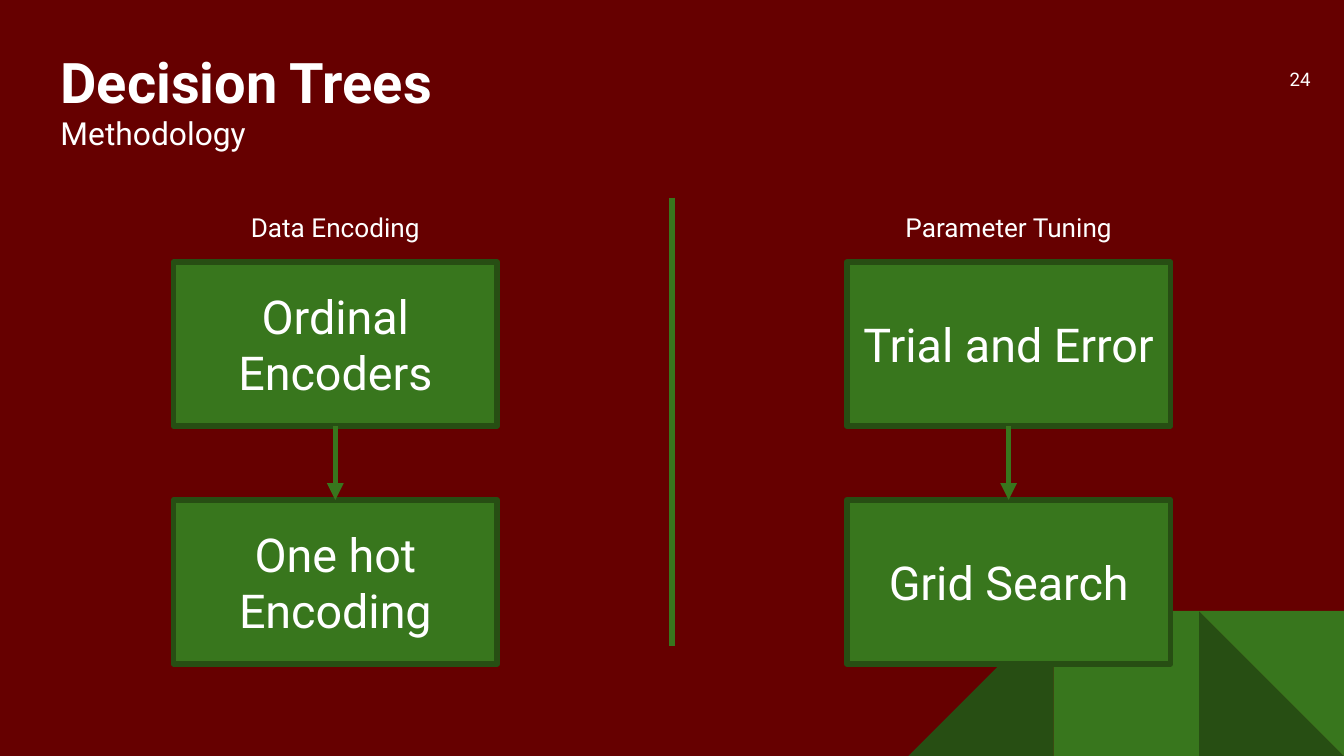
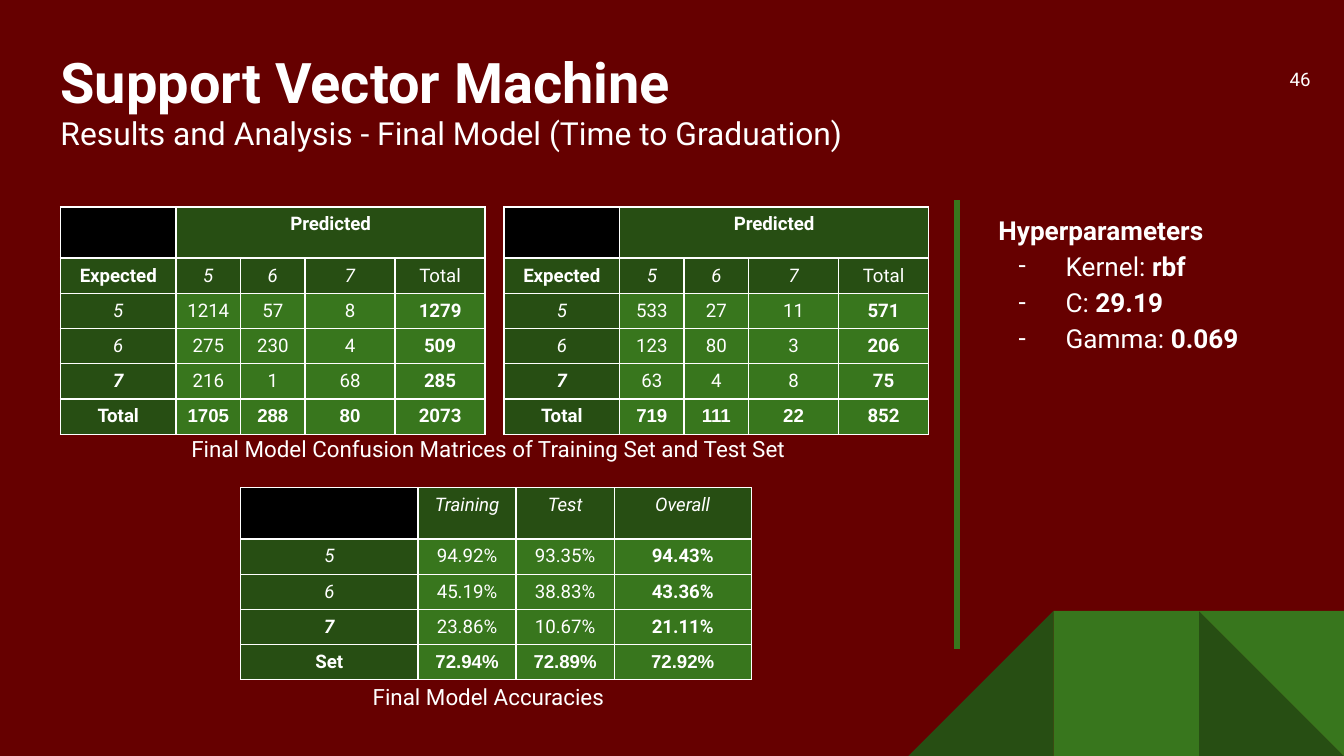
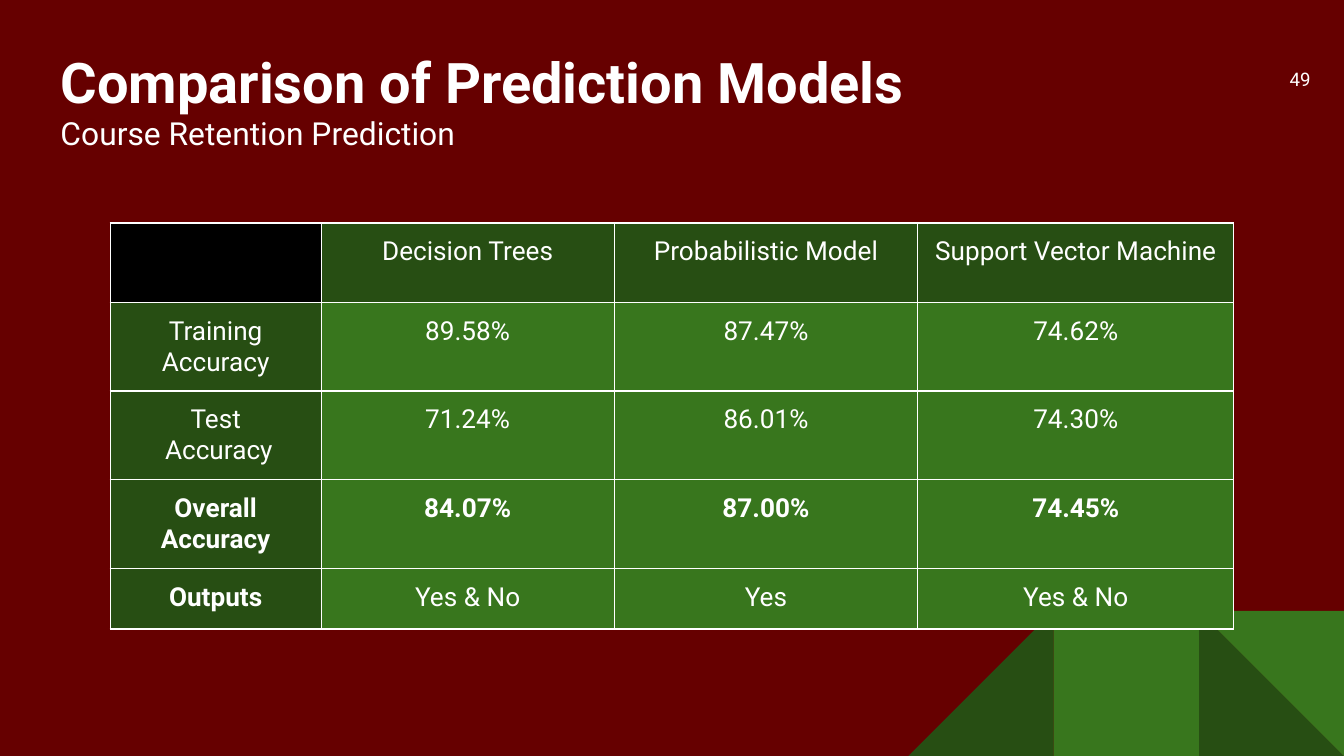
from dataclasses import dataclass
from typing import Any, Callable

from lxml import etree
from pptx import Presentation
from pptx.dml.color import RGBColor
from pptx.enum import shapes, text
from pptx.oxml import ns
from pptx.util import Inches, Pt

SLIDE_WIDTH = Inches(10)
SLIDE_HEIGHT = SLIDE_WIDTH * 9 // 16
BACKDROP, GREEN, DARK_GREEN = "660000", "38761D", "274E13"
WHITE, BLACK = "FFFFFF", "000000"
FONT, TOTALS_FONT = "Roboto", "Arial"
INSET = 0.1
TILE = 1.08
LEFT, CENTER, RIGHT = text.PP_ALIGN.LEFT, text.PP_ALIGN.CENTER, text.PP_ALIGN.RIGHT
TOP, MIDDLE = text.MSO_ANCHOR.TOP, text.MSO_ANCHOR.MIDDLE

Format = dict[str, Any]


@dataclass
class Tile:
    column: int
    preset: shapes.MSO_SHAPE
    color: str
    flipped: bool = False
    rotation: int = 0


@dataclass
class Flow:
    """A captioned pair of boxes joined by an arrow."""
    left: float
    caption: str
    caption_width: float
    steps: tuple[str, str]


@dataclass
class Grid:
    left: float
    top: float
    widths: list[float]
    heights: list[float]
    rows: list[list[str]]
    header_rows: int
    size: int
    insets: tuple[float, float]
    cell_format: Callable[["Grid", int, int], Format]
    corner_font: str = FONT


TILES = [
    Tile(2, shapes.MSO_SHAPE.RIGHT_TRIANGLE, DARK_GREEN),
    Tile(0, shapes.MSO_SHAPE.RIGHT_TRIANGLE, DARK_GREEN, flipped=True),
    Tile(1, shapes.MSO_SHAPE.RECTANGLE, GREEN),
    Tile(2, shapes.MSO_SHAPE.RIGHT_TRIANGLE, GREEN, rotation=180),
]

FLOWS = [
    Flow(1.29, "Data Encoding", 1.69, ("Ordinal Encoders", "One hot Encoding")),
    Flow(6.3, "Parameter Tuning", 2.41, ("Trial and Error", "Grid Search")),
]


def rgb(value: str) -> RGBColor:
    return RGBColor.from_string(value)


def style(font, size: float, **changes) -> None:
    """Apply the deck's font, with any changed values."""
    values = {"name": FONT, "size": Pt(size), "bold": False, "italic": False} | changes
    for name, value in values.items():
        setattr(font, name, value)
    font.color.rgb = rgb(WHITE)


def set_frame(frame, anchor=TOP) -> None:
    values = {"word_wrap": True, "auto_size": text.MSO_AUTO_SIZE.NONE, "vertical_anchor": anchor}
    values |= {f"margin_{side}": Inches(INSET) for side in ("left", "top", "right", "bottom")}
    for name, value in values.items():
        setattr(frame, name, value)


def fill_text(frame, words: str, size: float, align=CENTER, anchor=TOP) -> None:
    set_frame(frame, anchor)
    para = frame.paragraphs[0]
    para.alignment = align
    span = para.add_run()
    span.text = words
    style(span.font, size)


def add_label(page, left: float, top: float, width: float, height: float,
              words: str, size: float, align=CENTER, anchor=TOP) -> None:
    box = page.shapes.add_textbox(Inches(left), Inches(top), Inches(width), Inches(height))
    fill_text(box.text_frame, words, size, align, anchor)


def add_line(page, x1: float, y1: float, x2: float, y2: float, arrow: bool = False) -> None:
    line = page.shapes.add_connector(
        shapes.MSO_CONNECTOR.STRAIGHT, Inches(x1), Inches(y1), Inches(x2), Inches(y2))
    line.line.color.rgb = rgb(GREEN)
    line.line.width = Pt(3)
    if arrow:
        etree.SubElement(line.get_or_add_ln(), ns.qn("a:tailEnd"), type="triangle")
    etree.SubElement(line.element.spPr, ns.qn("a:effectLst"))


def move_tiles_to_layout(page) -> None:
    """Build the corner pattern and hand it to the layout that the slides share."""
    group = page.shapes.add_group_shape()
    side = Inches(TILE)
    for tile in TILES:
        shape = group.shapes.add_shape(
            tile.preset, SLIDE_WIDTH - (3 - tile.column) * side, SLIDE_HEIGHT - side, side, side)
        shape.shadow.inherit = False
        shape.fill.solid()
        shape.fill.fore_color.rgb = rgb(tile.color)
        shape.line.fill.background()
        shape.rotation = tile.rotation
        if tile.flipped:
            shape.element.spPr.xfrm.set("flipH", "1")
    page.slide_layout.shapes.element.append(group.element)


def add_page(deck, number: int, title: str, subtitle: str):
    page = deck.slides.add_slide(deck.slide_layouts[5])
    heading = page.shapes.title
    heading.left, heading.top = Inches(0.35), Inches(0.25)
    heading.width, heading.height = Inches(8.27), Inches(1.04)
    frame = heading.text_frame
    set_frame(frame)
    frame.text = f"{title}\n{subtitle}"
    for para, size, bold in zip(frame.paragraphs, (30, 17), (True, False)):
        para.alignment = LEFT
        style(para.runs[0].font, size, bold=bold)
    add_label(page, 9.25, 0.37, 0.6, 0.43, str(number), 10, RIGHT, MIDDLE)
    return page


def add_flow(page, flow: Flow) -> None:
    width, height, tops = 2.41, 1.22, (1.95, 3.72)
    middle = flow.left + width / 2
    add_label(page, middle - flow.caption_width / 2, 1.47, flow.caption_width, 0.5, flow.caption, 14)
    for top, step in zip(tops, flow.steps):
        box = page.shapes.add_shape(
            shapes.MSO_SHAPE.RECTANGLE, Inches(flow.left), Inches(top), Inches(width), Inches(height))
        box.shadow.inherit = False
        box.fill.solid()
        box.fill.fore_color.rgb = rgb(GREEN)
        box.line.color.rgb = rgb(DARK_GREEN)
        box.line.width = Pt(3)
        fill_text(box.text_frame, step, 25, anchor=MIDDLE)
    add_line(page, middle, tops[0] + height, middle, tops[1], arrow=True)


def matrix_format(grid: Grid, row: int, column: int) -> Format:
    words = grid.rows[row][column]
    last_row, last_column = row == len(grid.rows) - 1, column == len(grid.widths) - 1
    if column == 0:
        return {"bold": words not in ("5", "6"), "italic": words in ("5", "6", "7")}
    if row < grid.header_rows:
        return {"bold": words == "Predicted", "italic": words not in ("Predicted", "Total")}
    font = FONT
    if last_row:
        font = grid.corner_font if last_column else TOTALS_FONT
    return {"bold": last_row or last_column, "name": font}


def comparison_format(grid: Grid, row: int, column: int) -> Format:
    label = grid.rows[row][0]
    return {"bold": label.startswith("Overall") or (label == "Outputs" and column == 0)}


def add_borders(cell) -> None:
    properties = cell._tc.get_or_add_tcPr()
    for side in ("lnL", "lnR", "lnT", "lnB"):
        border = etree.SubElement(properties, ns.qn(f"a:{side}"), w=str(Pt(0.75)))
        paint = etree.SubElement(border, ns.qn("a:solidFill"))
        etree.SubElement(paint, ns.qn("a:srgbClr"), val=WHITE)


def add_grid(page, grid: Grid) -> None:
    table = page.shapes.add_table(
        len(grid.rows), len(grid.widths), Inches(grid.left), Inches(grid.top),
        Inches(sum(grid.widths)), Inches(sum(grid.heights))).table
    table.first_row = table.horz_banding = False
    for column, width in zip(table.columns, grid.widths):
        column.width = Inches(width)
    for row, height in zip(table.rows, grid.heights):
        row.height = Inches(height)
    side, edge = grid.insets
    for r, words in enumerate(grid.rows):
        for c in range(len(grid.widths)):
            cell = table.cell(r, c)
            cell.margin_left = cell.margin_right = Inches(side)
            cell.margin_top = cell.margin_bottom = Inches(edge)
            add_borders(cell)
            label = c == 0 or r < grid.header_rows
            cell.fill.solid()
            cell.fill.fore_color.rgb = rgb(BLACK if r == c == 0 else DARK_GREEN if label else GREEN)
            if c >= len(words) or not words[c]:
                empty = cell.text_frame.paragraphs[0]._p
                etree.SubElement(empty, ns.qn("a:endParaRPr"), sz=str(grid.size * 100))
                continue
            cell.text = words[c]
            for para in cell.text_frame.paragraphs:
                para.alignment = CENTER
                style(para.runs[0].font, grid.size, **grid.cell_format(grid, r, c))
        if len(words) < len(grid.widths):
            table.cell(r, len(words) - 1).merge(table.cell(r, len(grid.widths) - 1))


def confusion_matrix(left: float, counts: list[list[str]]) -> Grid:
    classes = ["5", "6", "7", "Total"]
    rows = [["", "Predicted"], ["Expected", *classes]]
    rows += [[name, *values] for name, values in zip(classes, counts)]
    return Grid(left, 1.54, [0.86, 0.48, 0.48, 0.67, 0.67], [0.38] + [0.26] * 5,
                rows, 2, 10, (0, 0.05), matrix_format)


def add_hyperparameters(page, settings: dict[str, str]) -> None:
    box = page.shapes.add_textbox(Inches(7.33), Inches(1.46), Inches(2.62), Inches(1.35))
    frame = box.text_frame
    set_frame(frame)
    lines = [[("Hyperparameters", True)]]
    lines += [[(f"{name}: ", False), (value, True)] for name, value in settings.items()]
    for index, spans in enumerate(lines):
        para = frame.add_paragraph() if index else frame.paragraphs[0]
        para.alignment = text.PP_ALIGN.JUSTIFY
        para.line_spacing = 1.15
        if index:
            properties = para._p.get_or_add_pPr()
            properties.set("marL", str(Inches(0.5)))
            properties.set("indent", str(Inches(-0.35)))
            tint = etree.SubElement(properties, ns.qn("a:buClr"))
            etree.SubElement(tint, ns.qn("a:srgbClr"), val=WHITE)
            etree.SubElement(properties, ns.qn("a:buFont"), typeface=FONT)
            etree.SubElement(properties, ns.qn("a:buChar"), char="-")
        for words, bold in spans:
            span = para.add_run()
            span.text = words
            style(span.font, 14, bold=bold)


def build_methodology(deck) -> None:
    page = add_page(deck, 24, "Decision Trees", "Methodology")
    move_tiles_to_layout(page)
    add_line(page, 5, 1.47, 5, 4.81)
    for flow in FLOWS:
        add_flow(page, flow)


def build_results(deck) -> None:
    page = add_page(deck, 46, "Support Vector Machine",
                    "Results and Analysis - Final Model (Time to Graduation)")
    add_grid(page, confusion_matrix(0.45, [
        ["1214", "57", "8", "1279"],
        ["275", "230", "4", "509"],
        ["216", "1", "68", "285"],
        ["1705", "288", "80", "2073"],
    ]))
    add_grid(page, confusion_matrix(3.75, [
        ["533", "27", "11", "571"],
        ["123", "80", "3", "206"],
        ["63", "4", "8", "75"],
        ["719", "111", "22", "852"],
    ]))
    add_grid(page, Grid(1.79, 3.63, [1.32, 0.73, 0.73, 1.02], [0.38] + [0.26] * 4, [
        ["", "Training", "Test", "Overall"],
        ["5", "94.92%", "93.35%", "94.43%"],
        ["6", "45.19%", "38.83%", "43.36%"],
        ["7", "23.86%", "10.67%", "21.11%"],
        ["Set", "72.94%", "72.89%", "72.92%"],
    ], 1, 10, (0, 0.05), matrix_format, TOTALS_FONT))
    add_hyperparameters(page, {"Kernel": "rbf", "C": "29.19", "Gamma": "0.069"})
    add_line(page, 7.12, 1.49, 7.12, 4.83)
    captions = {3.14: "Final Model Confusion Matrices of Training Set and Test Set",
                4.98: "Final Model Accuracies"}
    for top, caption in captions.items():
        add_label(page, 1, top, 5.27, 0.63, caption, 12)


def build_comparison(deck) -> None:
    page = add_page(deck, 49, "Comparison of Prediction Models", "Course Retention Prediction")
    add_grid(page, Grid(0.82, 1.66, [1.57, 2.18, 2.26, 2.35], [0.59, 0.66, 0.66, 0.66, 0.45], [
        ["", "Decision Trees", "Probabilistic Model", "Support Vector Machine"],
        ["Training Accuracy", "89.58%", "87.47%", "74.62%"],
        ["Test\n Accuracy", "71.24%", "86.01%", "74.30%"],
        ["Overall\nAccuracy", "84.07%", "87.00%", "74.45%"],
        ["Outputs", "Yes & No", "Yes", "Yes & No"],
    ], 1, 14, (INSET, INSET), comparison_format))


def main() -> None:
    deck = Presentation()
    deck.slide_width, deck.slide_height = SLIDE_WIDTH, SLIDE_HEIGHT
    backdrop = deck.slide_master.background.fill
    backdrop.solid()
    backdrop.fore_color.rgb = rgb(BACKDROP)
    build_methodology(deck)
    build_results(deck)
    build_comparison(deck)
    deck.save("out.pptx")


if __name__ == "__main__":
    main()
